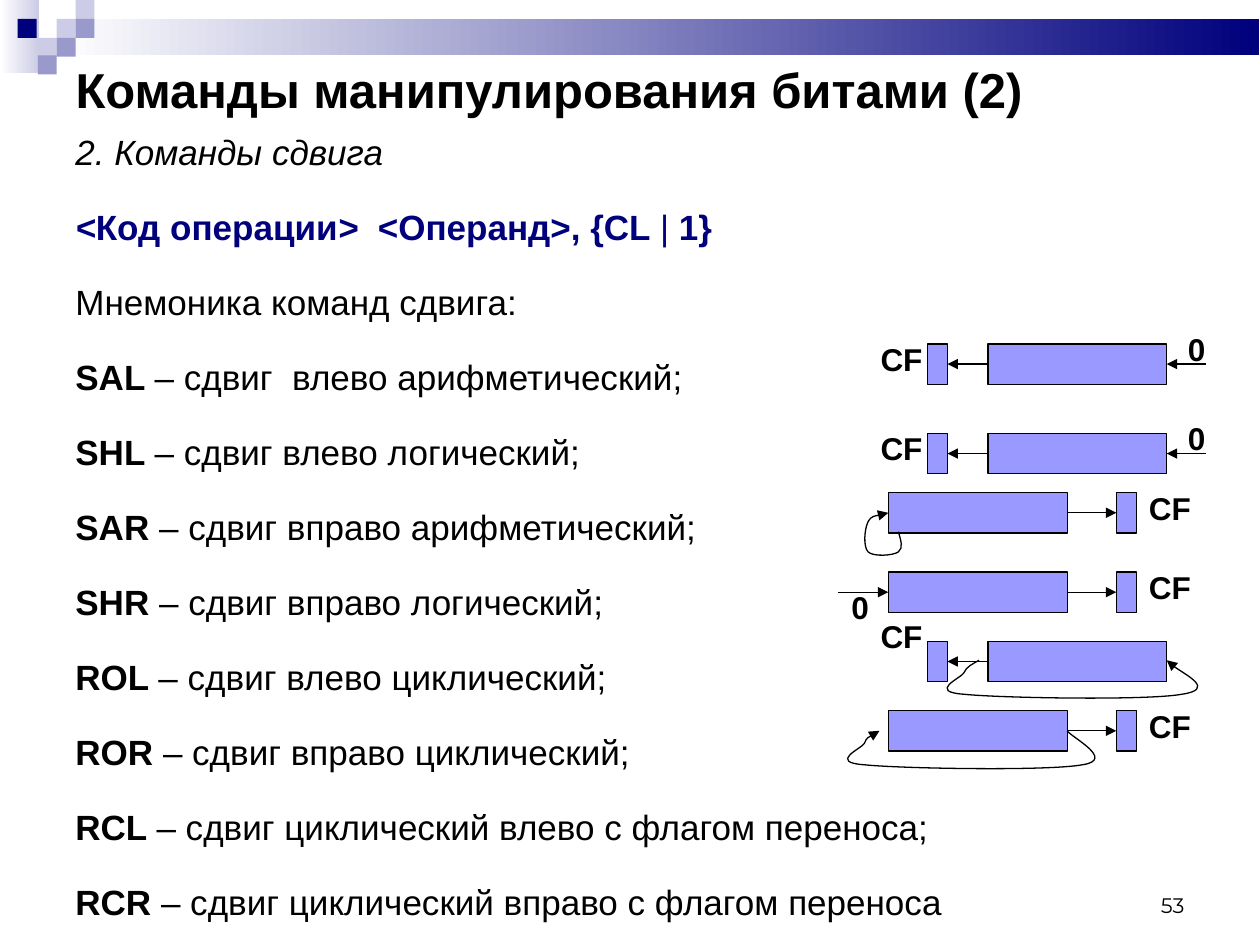
import dataclasses

import pptx
import pptx.dml.color
import pptx.enum.shapes
import pptx.enum.text
import pptx.oxml
import pptx.oxml.ns
import pptx.util

Inches = pptx.util.Inches
Pt = pptx.util.Pt
qn = pptx.oxml.ns.qn
ALIGN = pptx.enum.text.PP_ALIGN
ANCHOR = pptx.enum.text.MSO_ANCHOR
SHAPE = pptx.enum.shapes.MSO_SHAPE
STRAIGHT = pptx.enum.shapes.MSO_CONNECTOR.STRAIGHT


@dataclasses.dataclass(frozen=True)
class Theme:
    font: str = "Arial"
    number_font: str = "Montserrat"
    title: int = 28
    body: int = 20
    label: int = 18
    number: int = 12
    line: float = 0.75
    ink: str = "000000"
    navy: str = "00007D"
    mid: str = "9999CC"
    pale: str = "CCCCE6"
    white: str = "FFFFFF"
    box: str = "9999FF"


def rgb(value):
    return pptx.dml.color.RGBColor.from_string(value)


class Deck:
    """Holds the theme and the current slide and adds elements to it."""

    def __init__(self, prs, theme):
        self.theme = theme
        self.s = prs.slides.add_slide(prs.slide_layouts[5])

    def run(self, p, text, size, bold=False, italic=False, color=None, font=None):
        r = p.add_run()
        r.text = text
        r.font.name = font or self.theme.font
        r.font.size = Pt(size)
        r.font.bold = bold
        r.font.italic = italic
        r.font.color.rgb = rgb(color or self.theme.ink)

    def title(self, text, at):
        sp = self.s.shapes.title
        sp.left, sp.top, sp.width, sp.height = map(Inches, at)
        tf = sp.text_frame
        tf.vertical_anchor = ANCHOR.MIDDLE
        p = tf.paragraphs[0]
        p.alignment = ALIGN.LEFT
        self.run(p, text, self.theme.title, bold=True)

    def text_frame(self, at, wrap=True):
        tf = self.s.shapes.add_textbox(*map(Inches, at)).text_frame
        tf.word_wrap = wrap
        return tf

    def label(self, text, x, y, width):
        tf = self.text_frame((x, y, width, 0.4), wrap=False)
        self.run(tf.paragraphs[0], text, self.theme.label, bold=True)

    def number(self, text, at):
        tf = self.text_frame(at)
        tf.vertical_anchor = ANCHOR.BOTTOM
        p = tf.paragraphs[0]
        p.alignment = ALIGN.RIGHT
        self.run(p, text, self.theme.number, font=self.theme.number_font)

    def body(self, lines, at):
        tf = self.text_frame(at)
        for i, runs in enumerate(lines):
            p = tf.add_paragraph() if i else tf.paragraphs[0]
            p.space_before = Pt(18.8 if i else 0)
            pPr = p._p.get_or_add_pPr()
            pPr.set("marL", str(Inches(0.66)))
            pPr.set("indent", str(-Inches(0.66)))
            for text, style in runs:
                self.run(p, text, self.theme.body, **style)

    def rect(self, at, *colors, outlined=False):
        sp = self.s.shapes.add_shape(SHAPE.RECTANGLE, *map(Inches, at))
        sp.shadow.inherit = False
        if len(colors) > 1:
            sp.fill.gradient()
            sp.fill.gradient_angle = 0
            for stop, color in zip(sp.fill.gradient_stops, colors):
                stop.color.rgb = rgb(color)
        else:
            sp.fill.solid()
            sp.fill.fore_color.rgb = rgb(colors[0])
        if outlined:
            self.stroke(sp)
        else:
            sp.line.fill.background()
        return sp

    def stroke(self, sp, arrow=False):
        sp.line.color.rgb = rgb(self.theme.ink)
        sp.line.width = Pt(self.theme.line)
        if arrow:
            ln = sp._element.spPr.find(qn("a:ln"))
            pptx.oxml.parse_xml(f'<a:tailEnd xmlns:a="{NS_A}" type="triangle"/>')
            ln.append(pptx.oxml.parse_xml(f'<a:tailEnd xmlns:a="{NS_A}" type="triangle"/>'))

    def arrow(self, start, end, begin=None, finish=None):
        c = self.s.shapes.add_connector(STRAIGHT, *map(Inches, start + end))
        if begin:
            c.begin_connect(*begin)
        if finish:
            c.end_connect(*finish)
        self.stroke(c, arrow=True)
        c._element.spPr.append(pptx.oxml.parse_xml(f'<a:effectLst xmlns:a="{NS_A}"/>'))

    def curve(self, points):
        first, *rest = [(Inches(x), Inches(y)) for x, y in points]
        builder = self.s.shapes.build_freeform(*first)
        builder.add_line_segments(rest, close=False)
        sp = builder.convert_to_shape()
        sp.shadow.inherit = False
        sp.fill.background()
        self.stroke(sp, arrow=True)
        outline = next(sp._element.iter(qn("a:path")))
        steps = list(outline)[1:]
        for i in range(0, len(steps), 3):
            bezier = pptx.oxml.parse_xml(f'<a:cubicBezTo xmlns:a="{NS_A}"/>')
            for step in steps[i:i + 3]:
                bezier.append(step[0])
                outline.remove(step)
            outline.append(bezier)

    def shift_diagram(self, top, left, label_dy=-0.08, zero=False):
        register_x, flag_x, label_x = (7.84, 7.36, 6.89) if left else (7.05, 8.86, 9.02)
        out_side, in_side = (1, 3) if left else (3, 1)
        mid = top + 0.16
        register = self.rect((register_x, top, 1.42, 0.32), self.theme.box, outlined=True)
        flag = self.rect((flag_x, top, 0.16, 0.32), self.theme.box, outlined=True)
        self.label("CF", label_x, top + label_dy, 0.53)
        self.arrow((register_x, mid), (flag_x, mid), (register, out_side), (flag, in_side))
        if zero:
            zero_x, zero_dy, start_x = (9.33, -0.16, 9.57) if left else (6.66, 0.08, 6.65)
            self.label("0", zero_x, top + zero_dy, 0.34)
            self.arrow((start_x, mid), (register_x, mid), finish=(register, in_side))


NS_A = "http://schemas.openxmlformats.org/drawingml/2006/main"
COMMANDS = [
    ("SAL ", "– сдвиг  влево арифметический;"),
    ("SHL ", "– сдвиг влево логический;"),
    ("SAR ", "– сдвиг вправо арифметический;"),
    ("SHR ", "– сдвиг вправо логический;"),
    ("ROL ", "– сдвиг влево циклический;"),
    ("ROR ", "– сдвиг вправо циклический;"),
    ("RCL ", "– сдвиг циклический влево с флагом переноса;"),
    ("RCR ", "– сдвиг циклический вправо с флагом переноса"),
]
SIGN_LOOP = [(7.13, 4.22), (7.15, 4.29), (7.17, 4.35), (7.13, 4.38), (7.09, 4.41),
             (6.93, 4.42), (6.89, 4.38), (6.85, 4.34), (6.86, 4.2), (6.89, 4.14),
             (6.92, 4.09), (7.02, 4.08), (7.05, 4.07)]
ROTATE_LOOP = [(7.77, 5.24), (7.72, 5.27), (7.67, 5.29), (7.65, 5.34), (7.63, 5.38),
               (7.36, 5.49), (7.65, 5.51), (7.94, 5.54), (9.11, 5.56), (9.38, 5.51),
               (9.65, 5.47), (9.29, 5.29), (9.26, 5.24)]


def main():
    prs = pptx.Presentation()
    prs.slide_width, prs.slide_height = Inches(10), Inches(7.5)
    theme = Theme()
    deck = Deck(prs, theme)

    deck.rect((0, 0, 0.31, 0.58), theme.white, theme.pale)
    deck.rect((0.45, 0.15, 9.54, 0.29), theme.white, theme.navy)
    for x, y, color in [(0.45, 0.15, theme.pale), (0.6, 0, theme.pale), (0.6, 0.15, theme.mid),
                        (0.3, 0.3, theme.pale), (0.14, 0.15, theme.navy),
                        (0.45, 0.3, theme.mid), (0.3, 0.44, theme.mid)]:
        deck.rect((x, y, 0.15, 0.15), color)

    deck.number("53", (7.17, 6.83, 2.33, 0.5))
    deck.title("Команды манипулирования битами (2)", (0.5, 0.42, 9, 0.57))
    syntax = {"color": theme.navy, "bold": True}
    lines = [
        [("2. Команды сдвига", {"italic": True})],
        [("<", {**syntax, "italic": True}), ("Код операции", syntax),
         (">", {**syntax, "italic": True}), ("  <Операнд>, {СL ", syntax),
         ("|", {"color": theme.navy}), (" 1}", syntax)],
        [("Мнемоника команд сдвига:", {})],
    ]
    lines += [[(code, {"bold": True}), (meaning, {})] for code, meaning in COMMANDS]
    deck.body(lines, (0.5, 0.99, 9, 6.22))

    deck.shift_diagram(2.73, left=True, zero=True)
    deck.shift_diagram(3.44, left=True, zero=True)
    deck.shift_diagram(3.91, left=False)
    deck.curve(SIGN_LOOP)
    deck.shift_diagram(4.54, left=False, zero=True)
    deck.shift_diagram(5.09, left=True, label_dy=-0.24)
    deck.curve(ROTATE_LOOP)
    deck.shift_diagram(5.64, left=False)
    deck.curve([(x - 0.79, y + 0.56) for x, y in reversed(ROTATE_LOOP)])
    prs.save("out.pptx")


if __name__ == "__main__":
    main()
